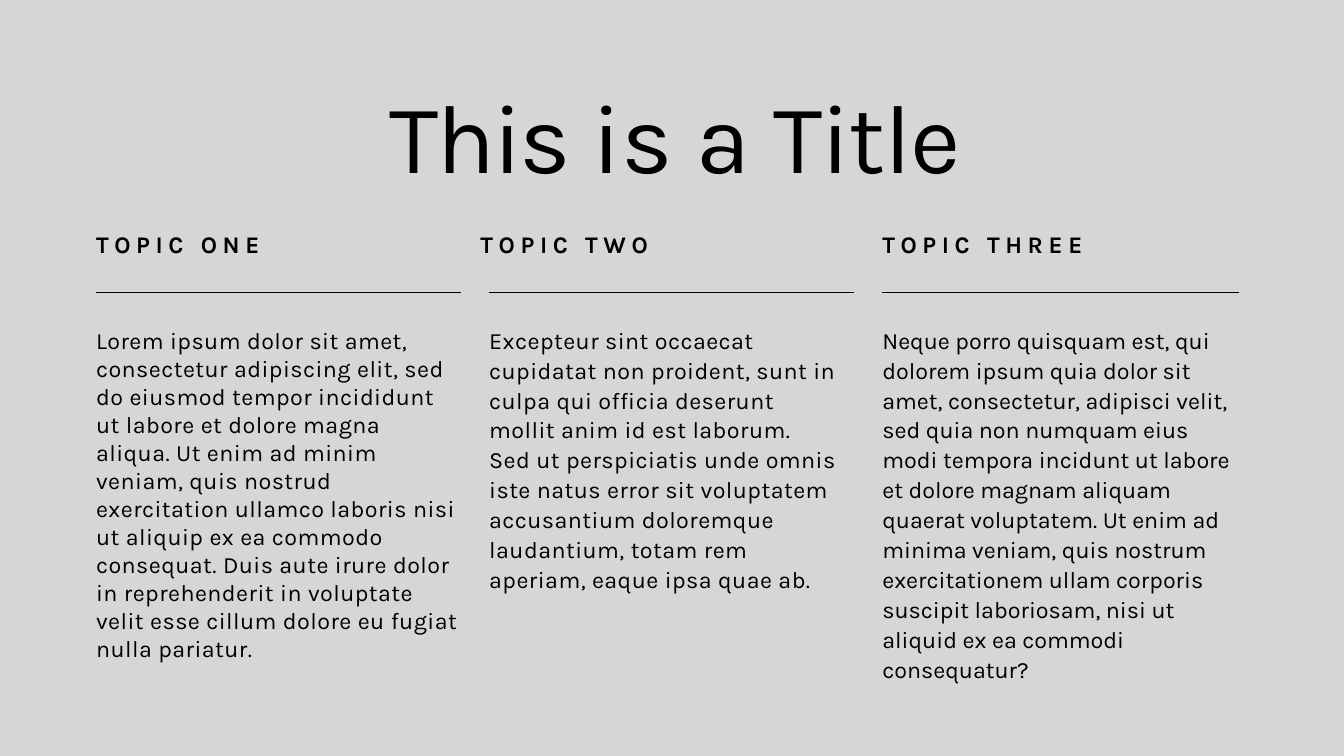
from collections import namedtuple

from lxml.etree import SubElement
from pptx import Presentation
from pptx.dml.color import RGBColor
from pptx.enum.shapes import MSO_CONNECTOR
from pptx.enum.text import MSO_ANCHOR, MSO_AUTO_SIZE, PP_ALIGN
from pptx.oxml.ns import qn
from pptx.util import Inches, Pt

Topic = namedtuple("Topic", "heading body heading_shift rule_width body_width inset leading tracking")

TOPICS = [
    Topic(
        "TOPIC ONE",
        "Lorem ipsum dolor sit amet, consectetur adipiscing elit, sed do eiusmod tempor "
        "incididunt ut labore et dolore magna aliqua. Ut enim ad minim veniam, quis nostrud "
        "exercitation ullamco laboris nisi ut aliquip ex ea commodo consequat. Duis aute irure "
        "dolor in reprehenderit in voluptate velit esse cillum dolore eu fugiat nulla pariatur.",
        0, 5.43, 5.43, 0.04, 1.0, 0.5,
    ),
    Topic(
        "TOPIC TWO",
        "Excepteur sint occaecat cupidatat non proident, sunt in culpa qui officia deserunt "
        "mollit anim id est laborum. Sed ut perspiciatis unde omnis iste natus error sit "
        "voluptatem accusantium doloremque laudantium, totam rem aperiam, eaque ipsa quae ab.",
        -0.13, 5.43, 5.18, 0.01, 1.07, 0.5,
    ),
    Topic(
        "TOPIC THREE",
        "Neque porro quisquam est, qui dolorem ipsum quia dolor sit amet, consectetur, adipisci "
        "velit, sed quia non numquam eius modi tempora incidunt ut labore et dolore magnam "
        "aliquam quaerat voluptatem. Ut enim ad minima veniam, quis nostrum exercitationem ullam "
        "corporis suscipit laboriosam, nisi ut aliquid ex ea commodi consequatur?",
        0, 5.31, 5.22, 0.01, 1.07, 0,
    ),
]

FIRST_LEFT = 1.43
COLUMN_STEP = 5.85
HEADING_TOP, RULE_TOP, BODY_TOP = 3.4, 4.35, 4.81


def color(value):
    return RGBColor.from_string(value)


class TopicSlide:
    font_name = "Karla"
    ink = "000000"
    paper = "D6D6D6"

    def __init__(self, presentation):
        self.slide = presentation.slides.add_slide(presentation.slide_layouts[5])
        fill = self.slide.background.fill
        fill.solid()
        fill.fore_color.rgb = color(self.paper)

    def fill_frame(self, frame, runs, size, inset, leading=1.0, bold=False, align=PP_ALIGN.LEFT):
        frame.word_wrap = True
        frame.auto_size = MSO_AUTO_SIZE.SHAPE_TO_FIT_TEXT
        frame.vertical_anchor = MSO_ANCHOR.TOP
        frame.margin_left = frame.margin_right = frame.margin_bottom = 0
        frame.margin_top = Inches(inset)
        paragraph = frame.paragraphs[0]
        paragraph.alignment = align
        paragraph.line_spacing = leading
        paragraph.space_before = Pt(0)
        for text, tracking in runs:
            run = paragraph.add_run()
            run.text = text
            run.font.name = self.font_name
            run.font.size = Pt(size)
            run.font.bold = bold
            run.font.color.rgb = color(self.ink)
            run._r.get_or_add_rPr().set("spc", str(round(tracking * 100)))

    def title(self, runs, left, top, width, height):
        heading = self.slide.shapes.title
        heading.left, heading.top = Inches(left), Inches(top)
        heading.width, heading.height = Inches(width), Inches(height)
        self.fill_frame(heading.text_frame, runs, 105, 0.06, align=PP_ALIGN.CENTER)

    def text(self, runs, left, top, width, height, size, inset, leading=1.0, bold=False):
        box = self.slide.shapes.add_textbox(Inches(left), Inches(top), Inches(width), Inches(height))
        self.fill_frame(box.text_frame, runs, size, inset, leading, bold)

    def rule(self, left, top, width):
        line = self.slide.shapes.add_connector(
            MSO_CONNECTOR.STRAIGHT, Inches(left), Inches(top), Inches(left + width), Inches(top)
        )
        line.line.color.rgb = color(self.ink)
        line.line.width = Pt(1.02)
        SubElement(line._element.spPr, qn("a:effectLst"))


def main():
    presentation = Presentation()
    presentation.slide_width = Inches(20)
    presentation.slide_height = Inches(11.25)

    page = TopicSlide(presentation)
    page.title([("This ", -2.5), ("is a ", 0), ("Title", -1.6)], 1.42, 1.06, 17.25, 2.11)
    for column, topic in enumerate(TOPICS):
        left = FIRST_LEFT + column * COLUMN_STEP
        page.rule(left, RULE_TOP, topic.rule_width)
        page.text([(topic.heading, 6)], left + topic.heading_shift, HEADING_TOP, 5.44, 0.46,
                  25.5, 0.02, bold=True)
        page.text([(topic.body, topic.tracking)], left, BODY_TOP, topic.body_width, 5.04,
                  25, topic.inset, topic.leading)

    presentation.save("out.pptx")


if __name__ == "__main__":
    main()
